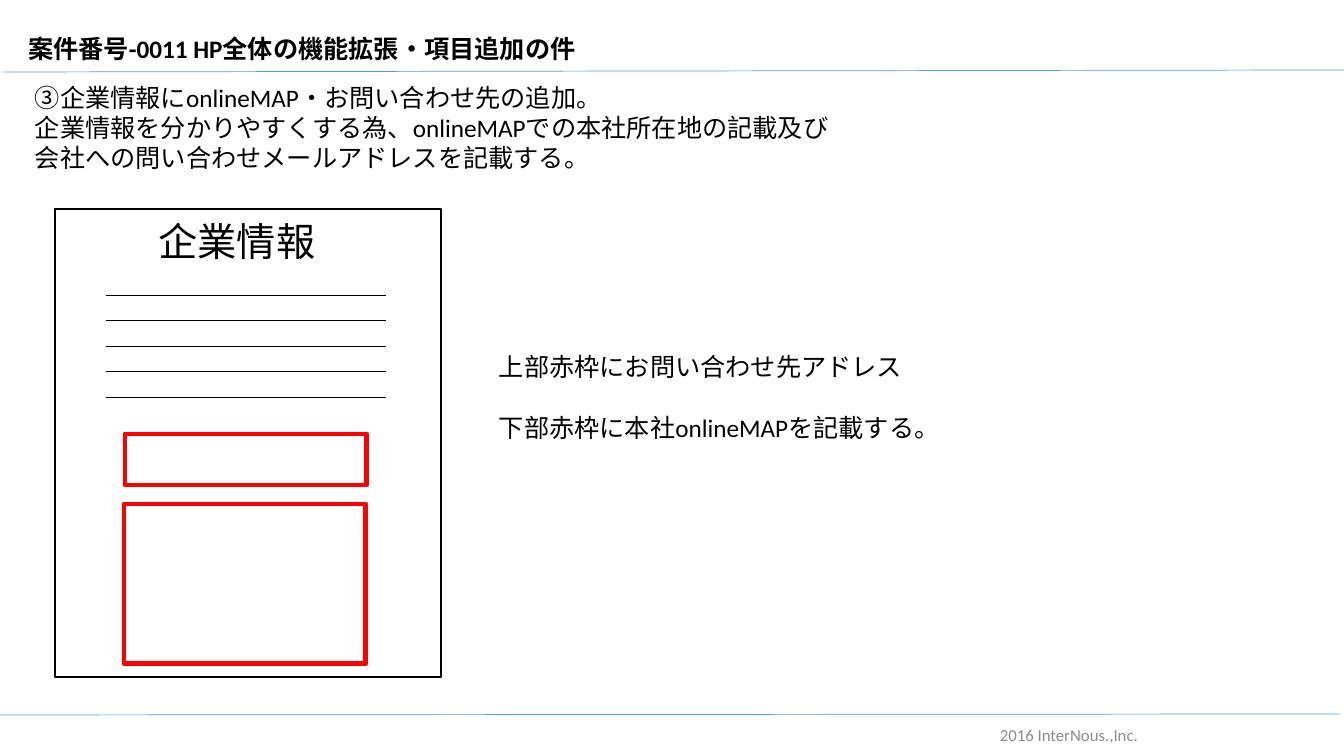
import pptx
import pptx.dml.color
import pptx.enum.shapes
import pptx.enum.text
import pptx.oxml.ns
import pptx.util
from lxml import etree

PX = 914400 / 100.8
BLACK = pptx.dml.color.RGBColor(0x00, 0x00, 0x00)
WHITE = pptx.dml.color.RGBColor(0xFF, 0xFF, 0xFF)
RED = pptx.dml.color.RGBColor(0xFF, 0x00, 0x00)
BLUE = pptx.dml.color.RGBColor(0x5B, 0x9B, 0xD5)
GREY = pptx.dml.color.RGBColor(0x8C, 0x8C, 0x8C)
LEFT = pptx.enum.text.PP_ALIGN.LEFT
CENTER = pptx.enum.text.PP_ALIGN.CENTER
TOP = pptx.enum.text.MSO_ANCHOR.TOP
MIDDLE = pptx.enum.text.MSO_ANCHOR.MIDDLE


def px(*lengths):
    return [pptx.util.Emu(round(length * PX)) for length in lengths]


def write(box, lines, size, color=BLACK, align=LEFT, anchor=TOP, gap=0, bold=False):
    frame = box.text_frame
    frame.text = "\n".join(lines)
    frame.word_wrap = True
    frame.auto_size = pptx.enum.text.MSO_AUTO_SIZE.NONE
    frame.vertical_anchor = anchor
    for index, para in enumerate(frame.paragraphs):
        para.alignment = align
        para.space_before = pptx.util.Pt(gap if index else 0)
        para.font.name = "Calibri"
        para.font.size = pptx.util.Pt(size)
        para.font.bold = bold
        para.font.color.rgb = color


deck = pptx.Presentation()
deck.slide_width, deck.slide_height = px(1344, 756)
page = deck.slides.add_slide(deck.slide_layouts[5])
shapes = page.shapes

title = shapes.title
title.left, title.top, title.width, title.height = px(18, 28, 1279, 40)
write(title, ["案件番号-0011 HP全体の機能拡張・項目追加の件"], 18, bold=True)

rectangles = [
    ((55, 209, 386, 468), BLACK, 1),
    ((125, 434, 242, 51), RED, 3.5),
    ((124, 504, 242, 160), RED, 3.5),
]
for area, color, weight in rectangles:
    rectangle = shapes.add_shape(pptx.enum.shapes.MSO_SHAPE.RECTANGLE, *px(*area))
    rectangle.shadow.inherit = False
    if color == BLACK:
        rectangle.fill.solid()
        rectangle.fill.fore_color.rgb = WHITE
    else:
        rectangle.fill.background()
    rectangle.line.color.rgb = color
    rectangle.line.width = pptx.util.Pt(weight)

rules = [((3, 72, 1344, 70), BLUE), ((0, 715, 1340, 714), BLUE)]
for row in range(5):
    height = 295 + row * 51 / 2
    rules.append(((106, height, 386, height), BLACK))
for ends, color in rules:
    rule = shapes.add_connector(pptx.enum.shapes.MSO_CONNECTOR.STRAIGHT, *px(*ends))
    rule.line.color.rgb = color
    rule.line.width = pptx.util.Pt(0.5)
    etree.SubElement(rule.element.spPr, pptx.oxml.ns.qn("a:effectLst"))

summary = shapes.add_textbox(*px(25, 77, 918, 131))
write(summary, [
    "③企業情報にonlineMAP・お問い合わせ先の追加。",
    "企業情報を分かりやすくする為、onlineMAPでの本社所在地の記載及び",
    "会社への問い合わせメールアドレスを記載する。",
], 18)

heading = shapes.add_textbox(*px(147, 212, 180, 57))
write(heading, ["企業情報"], 28, align=CENTER)

explanation = shapes.add_textbox(*px(489, 346, 738, 101))
write(explanation, [
    "上部赤枠にお問い合わせ先アドレス",
    "下部赤枠に本社onlineMAPを記載する。",
], 18, gap=22)

footer = shapes.add_textbox(*px(796, 715, 546, 40))
write(footer, ["2016 InterNous.,Inc."], 12, color=GREY, align=CENTER, anchor=MIDDLE)

deck.save("out.pptx")
